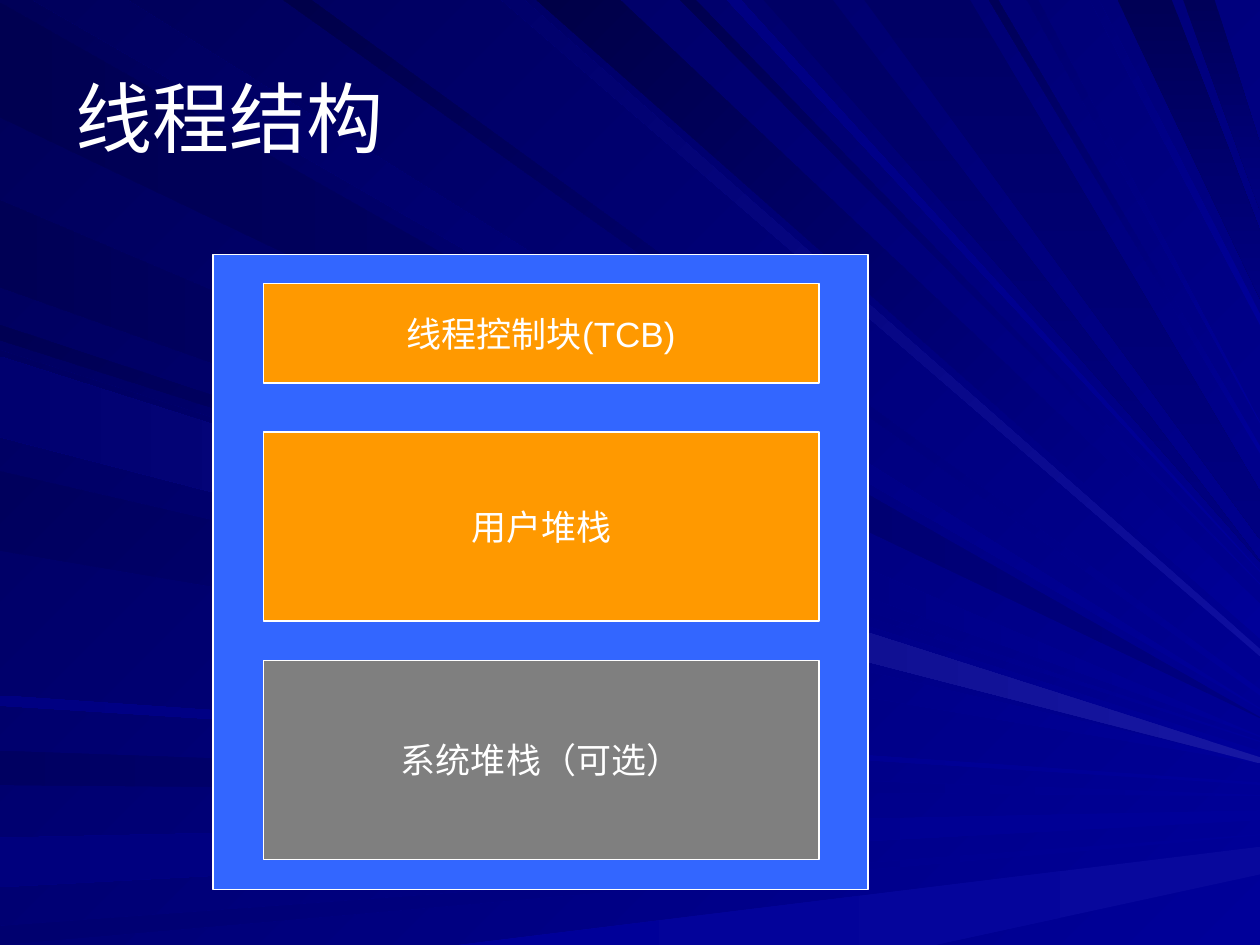
from pptx import Presentation
from pptx import util as u
from pptx.dml.color import RGBColor
from pptx.enum import shapes, text

PX = 9144  # EMU per px, 100 px to the inch
WIDTH, HEIGHT = 1000, 750
FONT, WHITE = "Arial", "FFFFFF"

TITLE = "线程结构"
FRAME = (169, 202, 520, 504)
BLOCK_LEFT, BLOCK_WIDTH = 209, 441
BLOCKS = [  # label, top, height, colour
    ("线程控制块(TCB)", 225, 79, "FF9900"),
    ("用户堆栈", 343, 150, "FF9900"),
    ("系统堆栈（可选）", 524, 158, "7F7F7F"),
]

BLUE, NAVY = "000099", "000080"
BACKGROUND = (BLUE, "000058", 225)
# Each kind of ray: slide edge it leaves, clockwise gradient angle
KINDS = {
    "left": ("left", 180),
    "slant": ("left", 225),
    "top": ("top", 225),
    "fall": ("top", 90),
    "bottom": ("bottom", 180),
}
# Rays from back to front: kind, span on that edge,
# top and depth of the tip on the right edge, gradient colours
RAYS = [
    ("left", 2, 93, 569, 1, NAVY, "000051"),
    ("top", 26, 101, 562, 1, BLUE, "00005D"),
    ("left", 596, 623, 631, 1, BLUE, "000061"),
    ("left", 665, 704, 643, 8, BLUE, "00007D"),
    ("left", 735, 750, 662, 1, BLUE, "00006F"),
    ("bottom", 364, 742, 672, 22, "08089C", BLUE),
    ("slant", 258, 270, 588, 1, BLUE, "000053"),
    ("left", 159, 228, 584, 1, BLUE, "000055"),
    ("top", 398, 416, 515, 6, "0F0F9F", "00006B"),
    ("top", 426, 492, 479, 28, BLUE, "000047"),
    ("top", 540, 552, 463, 1, BLUE, "00004F"),
    ("fall", 606, 661, 445, 1, "000065", NAVY),
    ("fall", 887, 930, 183, 54, "000055", NAVY),
    ("fall", 939, 964, 114, 53, "000059", NAVY),
    ("slant", 278, 342, 596, 6, BLUE, "000061"),
    ("slant", 374, 437, 605, 1, BLUE, "00005D"),
    ("left", 552, 560, 621, 2, BLUE, "000082"),
    ("top", 225, 247, 547, 5, BLUE, "00004A"),
    ("top", 577, 588, 453, 1, BLUE, "000082"),
    ("fall", 686, 770, 390, 38, "000065", NAVY),
    ("top", 785, 792, 354, 6, BLUE, "000058"),
    ("top", 815, 824, 335, 1, BLUE, "00006F"),
    ("top", 865, 872, 249, 9, BLUE, "000079"),
    ("left", 283, 347, 601, 5, "1717A2", "00006F"),
]


def colour(value):
    return RGBColor.from_string(value)


def paint_gradient(fill, start, end, angle):
    fill.gradient()
    fill.gradient_angle = 360 - angle
    for stop, value in zip(fill.gradient_stops, (start, end)):
        stop.color.rgb = colour(value)


def write(holder, words, size, align):
    frame = holder.text_frame
    frame.text = words
    frame.vertical_anchor = text.MSO_ANCHOR.MIDDLE
    paragraph = frame.paragraphs[0]
    paragraph.alignment = align
    paragraph.font.name = FONT
    paragraph.font.size = u.Pt(size)
    paragraph.font.color.rgb = colour(WHITE)


def add_box(slide, box, fill):
    rect = slide.shapes.add_shape(shapes.MSO_SHAPE.RECTANGLE, *(v * PX for v in box))
    rect.shadow.inherit = False
    rect.fill.solid()
    rect.fill.fore_color.rgb = colour(fill)
    rect.line.color.rgb = colour(WHITE)
    rect.line.width = u.Pt(0.75)
    return rect


def ray_corners(edge, near, far, tip, depth):
    if edge == "left":
        base = [(0, far), (0, near)]
    elif edge == "top":
        base = [(near, 0), (far, 0)]
    else:
        base = [(far, HEIGHT), (near, HEIGHT)]
    upper, lower = (WIDTH, tip), (WIDTH, tip + depth)
    return base + [upper, lower]


def add_rays(slide):
    rays = slide.shapes.add_group_shape()
    for kind, near, far, tip, depth, start, end in RAYS:
        edge, angle = KINDS[kind]
        first, *others = ray_corners(edge, near, far, tip, depth)
        outline = rays.shapes.build_freeform(*first, scale=PX)
        outline.add_line_segments(others, close=True)
        ray = outline.convert_to_shape()
        ray.shadow.inherit = False
        ray.line.fill.background()
        paint_gradient(ray.fill, start, end, angle)
    # Send the rays behind the title
    slide.shapes._spTree.insert(2, rays._element)


def main():
    deck = Presentation()
    deck.slide_width, deck.slide_height = WIDTH * PX, HEIGHT * PX
    slide = deck.slides.add_slide(deck.slide_layouts[5])

    # Background
    paint_gradient(slide.background.fill, *BACKGROUND)
    add_rays(slide)

    # Title
    title = slide.shapes.title
    title.left, title.top, title.width, title.height = (v * PX for v in (50, 30, 900, 125))
    write(title, TITLE, 44, text.PP_ALIGN.LEFT)

    # Thread frame and its blocks
    add_box(slide, FRAME, "3366FF")
    for label, top, height, fill in BLOCKS:
        block = add_box(slide, (BLOCK_LEFT, top, BLOCK_WIDTH, height), fill)
        write(block, label, 20, text.PP_ALIGN.CENTER)
        block.text_frame.word_wrap = False

    deck.save("out.pptx")


if __name__ == "__main__":
    main()
